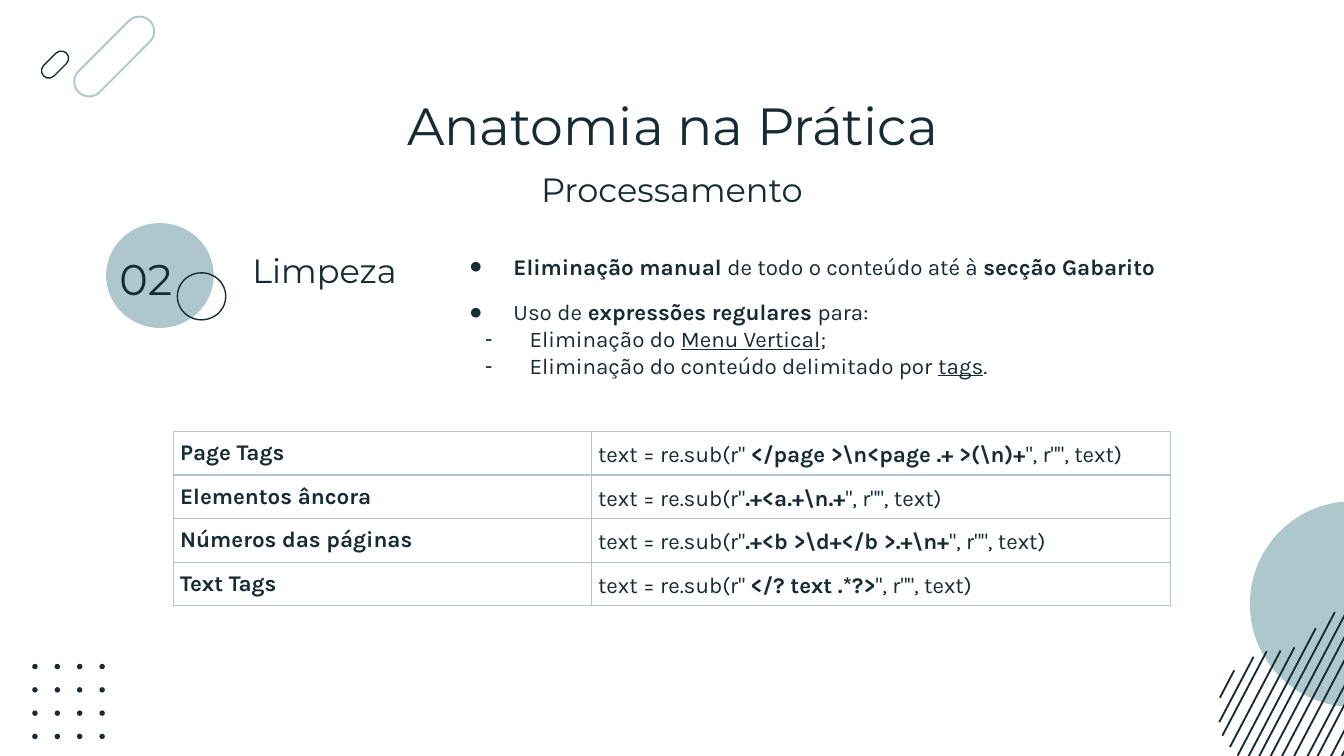
from dataclasses import dataclass
from itertools import product
from math import cos, radians, sin

from lxml.etree import SubElement
from pptx import Presentation
from pptx.dml.color import RGBColor
from pptx.enum.shapes import MSO_CONNECTOR, MSO_SHAPE
from pptx.enum.text import MSO_ANCHOR, MSO_AUTO_SIZE, PP_ALIGN
from pptx.oxml.ns import qn
from pptx.util import Inches, Pt

DARK = "172B35"
TEAL = "ADC7CC"
HEADING_FONT = "Montserrat"
BODY_FONT = "Karla"


@dataclass
class Run:
    text: str
    bold: bool = False
    underline: bool = False


@dataclass
class Bullet:
    symbol: str
    indent: float
    space_before: float
    runs: list[Run]


@dataclass
class Pill:
    center_x: float
    center_y: float
    length: float
    thickness: float
    color: str
    line_width: float


@dataclass
class Stripe:
    center_x: float
    center_y: float
    length: float


@dataclass
class CleaningRule:
    name: str
    opening: str
    pattern: str


BULLETS = [
    Bullet("●", 0.38, 0, [Run("Eliminação manual", bold=True), Run(" de todo o conteúdo até à "),
                          Run("secção Gabarito", bold=True)]),
    Bullet("●", 0.38, 10, [Run("Uso de"), Run(" expressões regulares", bold=True), Run(" para:")]),
    Bullet("-", 0.5, 0, [Run("Eliminação do "), Run("Menu Vertical", underline=True), Run(";")]),
    Bullet("-", 0.5, 0, [Run("Eliminação do conteúdo delimitado por "),
                         Run("tags", underline=True), Run(".")]),
]
RULES = [
    CleaningRule("Page Tags", 'text = re.sub(r"', r" </page >\n<page .+ >(\n)+"),
    CleaningRule("Elementos âncora", 'text = re.sub(r"', r".+<a.+\n.+"),
    CleaningRule("Números das páginas", 'text = re.sub(r"', r".+<b >\d+</b >.+\n+"),
    CleaningRule("Text Tags", 'text = re.sub(r" ', "</? text .*?>"),
]
PILLS = [Pill(0.85, 0.42, 0.75, 0.22, TEAL, 1), Pill(0.41, 0.48, 0.24, 0.11, DARK, 0.75)]
STRIPES = [
    Stripe(10.26, 5.1, 1.2), Stripe(10.19, 5.08, 1.24), Stripe(10.09, 5.08, 1.31),
    Stripe(10, 5.11, 1.4), Stripe(9.9, 5.11, 1.43), Stripe(9.81, 5.11, 1.43),
    Stripe(9.72, 5.12, 1.39), Stripe(9.63, 5.13, 1.3), Stripe(9.53, 5.17, 1.12),
    Stripe(9.42, 5.22, 0.91), Stripe(9.34, 5.2, 0.81), Stripe(9.26, 5.16, 0.71),
    Stripe(9.2, 5.13, 0.55), Stripe(9.13, 5.09, 0.23),
]


def color_of(value: str) -> RGBColor:
    return RGBColor.from_string(value)


def write_text(paragraph, text: str, *, font=BODY_FONT, size=12, bold=False, underline=False):
    run = paragraph.add_run()
    run.text = text
    run.font.name = font
    run.font.size = Pt(size)
    run.font.bold = bold
    run.font.underline = underline
    run.font.color.rgb = color_of(DARK)


def place(shape, left: float, top: float, width: float, height: float, anchor=MSO_ANCHOR.TOP):
    shape.left, shape.top = Inches(left), Inches(top)
    shape.width, shape.height = Inches(width), Inches(height)
    frame = shape.text_frame
    frame.word_wrap = True
    frame.auto_size = MSO_AUTO_SIZE.NONE
    frame.vertical_anchor = anchor
    frame.margin_left = frame.margin_right = Inches(0.1)
    frame.margin_top = frame.margin_bottom = Inches(0.1)
    return frame


def add_label(slide, text: str, box: tuple, size: float, anchor=MSO_ANCHOR.BOTTOM,
              alignment=PP_ALIGN.LEFT):
    shape = slide.shapes.add_textbox(0, 0, 0, 0)
    paragraph = place(shape, *box, anchor).paragraphs[0]
    paragraph.alignment = alignment
    write_text(paragraph, text, font=HEADING_FONT, size=size)


def add_figure(slide, kind, box: tuple, fill: str | None = None, line: str | None = None,
               line_width: float = 0.75):
    shape = slide.shapes.add_shape(kind, *(Inches(value) for value in box))
    shape.shadow.inherit = False
    if fill:
        shape.fill.solid()
        shape.fill.fore_color.rgb = color_of(fill)
    else:
        shape.fill.background()
    if line:
        shape.line.color.rgb = color_of(line)
        shape.line.width = Pt(line_width)
    else:
        shape.line.fill.background()
    return shape


def add_pill(slide, pill: Pill):
    box = (pill.center_x - pill.length / 2, pill.center_y - pill.thickness / 2,
           pill.length, pill.thickness)
    shape = add_figure(slide, MSO_SHAPE.ROUNDED_RECTANGLE, box, line=pill.color,
                       line_width=pill.line_width)
    shape.adjustments[0] = 0.5
    shape.rotation = -45


def add_stripe(slide, stripe: Stripe):
    angle = radians(62.3)
    half_width = stripe.length / 2 * cos(angle)
    half_height = stripe.length / 2 * sin(angle)
    connector = slide.shapes.add_connector(
        MSO_CONNECTOR.STRAIGHT,
        Inches(stripe.center_x - half_width), Inches(stripe.center_y + half_height),
        Inches(stripe.center_x + half_width), Inches(stripe.center_y - half_height))
    connector.line.color.rgb = color_of(DARK)
    connector.line.width = Pt(1)
    SubElement(connector._element.spPr, qn("a:effectLst"))


def add_bullet(paragraph, bullet: Bullet):
    paragraph.alignment = PP_ALIGN.LEFT
    paragraph.space_before = Pt(bullet.space_before)
    properties = paragraph._p.get_or_add_pPr()
    properties.set("marL", str(Inches(bullet.indent)))
    properties.set("indent", str(Inches(-0.33)))
    bullet_color = SubElement(properties, qn("a:buClr"))
    SubElement(bullet_color, qn("a:srgbClr"), val=DARK)
    SubElement(properties, qn("a:buChar"), char=bullet.symbol)
    for run in bullet.runs:
        write_text(paragraph, run.text, bold=run.bold, underline=run.underline)


def fill_cell(cell, runs: list[Run], line_spacing: float):
    cell.vertical_anchor = MSO_ANCHOR.MIDDLE
    cell.margin_left = cell.margin_right = Inches(0.05)
    cell.margin_top = cell.margin_bottom = Inches(0.05)
    properties = cell._tc.get_or_add_tcPr()
    for side in ("lnL", "lnR", "lnT", "lnB"):
        border = SubElement(properties, qn(f"a:{side}"), w=str(Pt(0.75)))
        border_fill = SubElement(border, qn("a:solidFill"))
        SubElement(border_fill, qn("a:srgbClr"), val=TEAL)
    cell.fill.background()
    paragraph = cell.text_frame.paragraphs[0]
    paragraph.line_spacing = line_spacing
    for run in runs:
        write_text(paragraph, run.text, bold=run.bold)


def add_rules_table(slide):
    row_height = 0.32
    table = slide.shapes.add_table(len(RULES), 2, Inches(1.29), Inches(3.21), Inches(7.42),
                                   Inches(row_height * len(RULES))).table
    table.first_row = table.horz_banding = False
    table.columns[0].width, table.columns[1].width = Inches(3.11), Inches(4.31)
    for index, rule in enumerate(RULES):
        table.rows[index].height = Inches(row_height)
        fill_cell(table.cell(index, 0), [Run(rule.name, bold=True)], 1)
        fill_cell(table.cell(index, 1), [Run(rule.opening), Run(rule.pattern, bold=True),
                                         Run('", r"", text)')], 1.15)


def main():
    presentation = Presentation()
    presentation.slide_width = Inches(10)
    presentation.slide_height = presentation.slide_width * 9 // 16
    slide = presentation.slides.add_slide(presentation.slide_layouts[1])

    for pill in PILLS:
        add_pill(slide, pill)
    add_figure(slide, MSO_SHAPE.OVAL, (9.3, 3.73, 1.53, 1.53), fill=TEAL)
    for stripe in STRIPES:
        add_stripe(slide, stripe)
    for row, column in product(range(4), repeat=2):
        box = (0.24 + column * 0.5 / 3, 4.94 + row * 0.52 / 3, 0.04, 0.04)
        add_figure(slide, MSO_SHAPE.OVAL, box, fill=DARK)

    title = place(slide.shapes.title, 0.79, 0.59, 8.43, 0.63).paragraphs[0]
    title.alignment = PP_ALIGN.CENTER
    write_text(title, "Anatomia na Prática", font=HEADING_FONT, size=28)
    add_label(slide, "Processamento", (3.61, 1.21, 2.78, 0.45), 18, alignment=PP_ALIGN.CENTER)

    add_figure(slide, MSO_SHAPE.OVAL, (0.79, 1.66, 0.8, 0.78), fill=TEAL)
    add_figure(slide, MSO_SHAPE.OVAL, (1.32, 2.03, 0.36, 0.35), line=DARK)
    add_label(slide, "02", (0.79, 1.78, 0.75, 0.55), 23, anchor=MSO_ANCHOR.TOP)
    add_label(slide, "Limpeza", (1.78, 1.85, 1.84, 0.41), 18)

    body = place(slide.placeholders[1], 3.34, 1.78, 5.74, 1.32)
    for index, bullet in enumerate(BULLETS):
        add_bullet(body.add_paragraph() if index else body.paragraphs[0], bullet)
    add_rules_table(slide)
    presentation.save("out.pptx")


if __name__ == "__main__":
    main()
